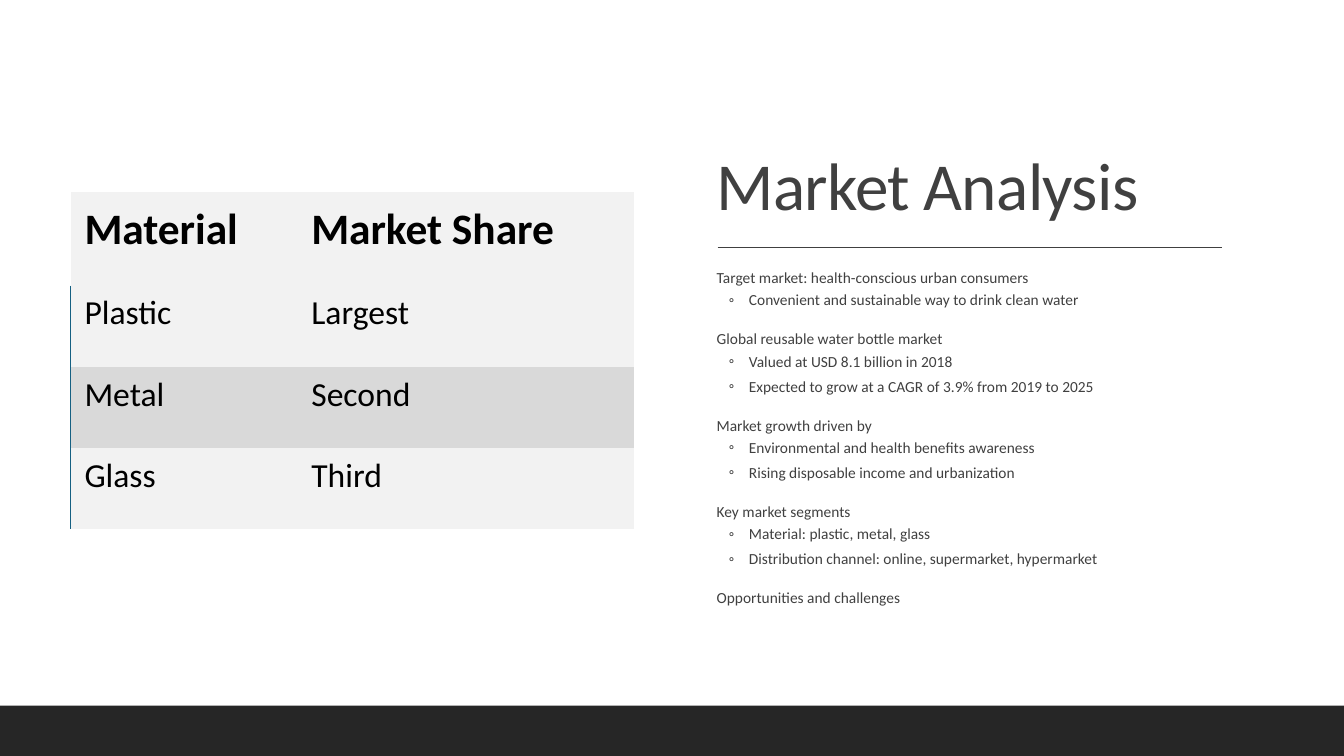
from lxml import etree
from pptx import Presentation
from pptx import util as u
from pptx.dml.color import RGBColor
from pptx.enum import shapes, text
from pptx.oxml import ns

Pt = u.Pt
WHITE = RGBColor(0xFF, 0xFF, 0xFF)
BLACK = RGBColor(0x00, 0x00, 0x00)
GREY = RGBColor(0x40, 0x40, 0x40)
CHARCOAL = RGBColor(0x26, 0x26, 0x26)
LIGHT = RGBColor(0xF2, 0xF2, 0xF2)
MID = RGBColor(0xD9, 0xD9, 0xD9)
BLUE = RGBColor(0x15, 0x60, 0x82)
PLAIN_TABLE = "{2D5ABB26-0587-4C30-8999-92F81FD0307C}"

BULLETS = [
    ("Target market: health-conscious urban consumers",
     ["Convenient and sustainable way to drink clean water"]),
    ("Global reusable water bottle market",
     ["Valued at USD 8.1 billion in 2018",
      "Expected to grow at a CAGR of 3.9% from 2019 to 2025"]),
    ("Market growth driven by",
     ["Environmental and health benefits awareness",
      "Rising disposable income and urbanization"]),
    ("Key market segments",
     ["Material: plastic, metal, glass",
      "Distribution channel: online, supermarket, hypermarket"]),
    ("Opportunities and challenges", []),
]
SHARES = [("Material", "Market Share"), ("Plastic", "Largest"),
          ("Metal", "Second"), ("Glass", "Third")]


def add_xml(parent, tag, **attrs):
    return etree.SubElement(parent, ns.qn(tag), attrs)


class SlideBuilder:
    font = "Calibri"

    def __init__(self, s):
        self.s = s
        s.background.fill.solid()
        s.background.fill.fore_color.rgb = WHITE

    def run(self, p, words, size, color, bold=False):
        r = p.add_run()
        r.text = words
        r.font.name, r.font.size, r.font.bold = self.font, Pt(size), bold
        r.font.color.rgb = color
        return r

    def place(self, sp, left, top, width, height):
        sp.left, sp.top, sp.width, sp.height = map(Pt, (left, top, width, height))
        tf = sp.text_frame
        tf.word_wrap = True
        tf.auto_size = text.MSO_AUTO_SIZE.NONE
        return tf

    def title(self, words, *box):
        tf = self.place(self.s.shapes.title, *box)
        tf.vertical_anchor = text.MSO_ANCHOR.BOTTOM
        p = tf.paragraphs[0]
        p.alignment, p.line_spacing = text.PP_ALIGN.LEFT, 0.9
        r = self.run(p, words, 48, GREY)
        r.font._element.set("spc", "-50")

    def bullet(self, p, words, level):
        p.level, p.line_spacing = level, 0.9
        before, after, margin, hang, mark = [
            (12, 2, 7.2, 7.2, " "), (2, 4, 30.24, 14.4, "◦")][level]
        p.space_before, p.space_after = Pt(before), Pt(after)
        pPr = p._p.get_or_add_pPr()
        pPr.set("marL", str(Pt(margin)))
        pPr.set("indent", str(-Pt(hang)))
        if level == 0:
            add_xml(add_xml(pPr, "a:buClr"), "a:srgbClr", val=str(BLUE))
        add_xml(pPr, "a:buFont", typeface=self.font)
        add_xml(pPr, "a:buChar", char=mark)
        self.run(p, words, 11, GREY)

    def body(self, groups, *box):
        tf = self.place(self.s.placeholders[1], *box)
        tf.vertical_anchor = text.MSO_ANCHOR.TOP
        tf.margin_left = tf.margin_right = 0
        tf.margin_top = tf.margin_bottom = Pt(3.6)
        lines = [(words, level) for head, points in groups
                 for words, level in [(head, 0)] + [(pt, 1) for pt in points]]
        for i, (words, level) in enumerate(lines):
            p = tf.add_paragraph() if i else tf.paragraphs[0]
            self.bullet(p, words, level)

    def rule(self, left, top, width):
        line = self.s.shapes.add_connector(
            shapes.MSO_CONNECTOR.STRAIGHT, Pt(left), Pt(top), Pt(left + width), Pt(top))
        line.line.color.rgb, line.line.width = GREY, Pt(1)
        add_xml(line._element.spPr, "a:effectLst")

    def bar(self, color, *box):
        sp = self.s.shapes.add_shape(shapes.MSO_SHAPE.RECTANGLE, *map(Pt, box))
        sp.shadow.inherit = False
        sp.fill.solid()
        sp.fill.fore_color.rgb = color
        sp.line.fill.background()

    def cell(self, cell, words, header, fill, edge):
        cell.margin_left, cell.margin_top = Pt(10), Pt(3)
        cell.margin_right, cell.margin_bottom = Pt(14.4), Pt(21)
        cell.vertical_anchor = text.MSO_ANCHOR.BOTTOM if header else text.MSO_ANCHOR.MIDDLE
        cell.fill.solid()
        cell.fill.fore_color.rgb = fill
        self.run(cell.text_frame.paragraphs[0], words, 31 if header else 24, BLACK, header)
        if edge:
            tcPr = cell._tc.get_or_add_tcPr()
            ln = add_xml(tcPr, "a:lnL", w=str(Pt(1)))
            add_xml(add_xml(ln, "a:solidFill"), "a:srgbClr", val=str(BLUE))
            tcPr.insert(0, ln)

    def table(self, rows, left, top, widths, heights):
        t = self.s.shapes.add_table(len(rows), len(widths), Pt(left), Pt(top),
                                    Pt(sum(widths)), Pt(sum(heights))).table
        t._tbl.tblPr.find(ns.qn("a:tableStyleId")).text = PLAIN_TABLE
        t.horz_banding = False
        for col, width in zip(t.columns, widths):
            col.width = Pt(width)
        for i, (row, height) in enumerate(zip(rows, heights)):
            t.rows[i].height = Pt(height)
            fill = MID if i and i % 2 == 0 else LIGHT
            for j, words in enumerate(row):
                self.cell(t.cell(i, j), words, i == 0, fill, i > 0 and j == 0)


def main():
    prs = Presentation()
    prs.slide_width, prs.slide_height = Pt(960), Pt(540)
    slide = SlideBuilder(prs.slides.add_slide(prs.slide_layouts[1]))

    # Right half: title, rule and list
    slide.title("Market Analysis", 504.72, 49.68, 403.92, 114.48)
    slide.rule(512.64, 176.76, 360)
    slide.body(BULLETS, 504.72, 189.36, 403.92, 272.88)

    # Footer band
    slide.bar(CHARCOAL, 0, 504, 960, 36)

    # Left half: market share table
    slide.table(SHARES, 50.4, 136.8, [162, 240.48], [67.2] + [58] * 3)

    prs.save("out.pptx")


if __name__ == "__main__":
    main()
